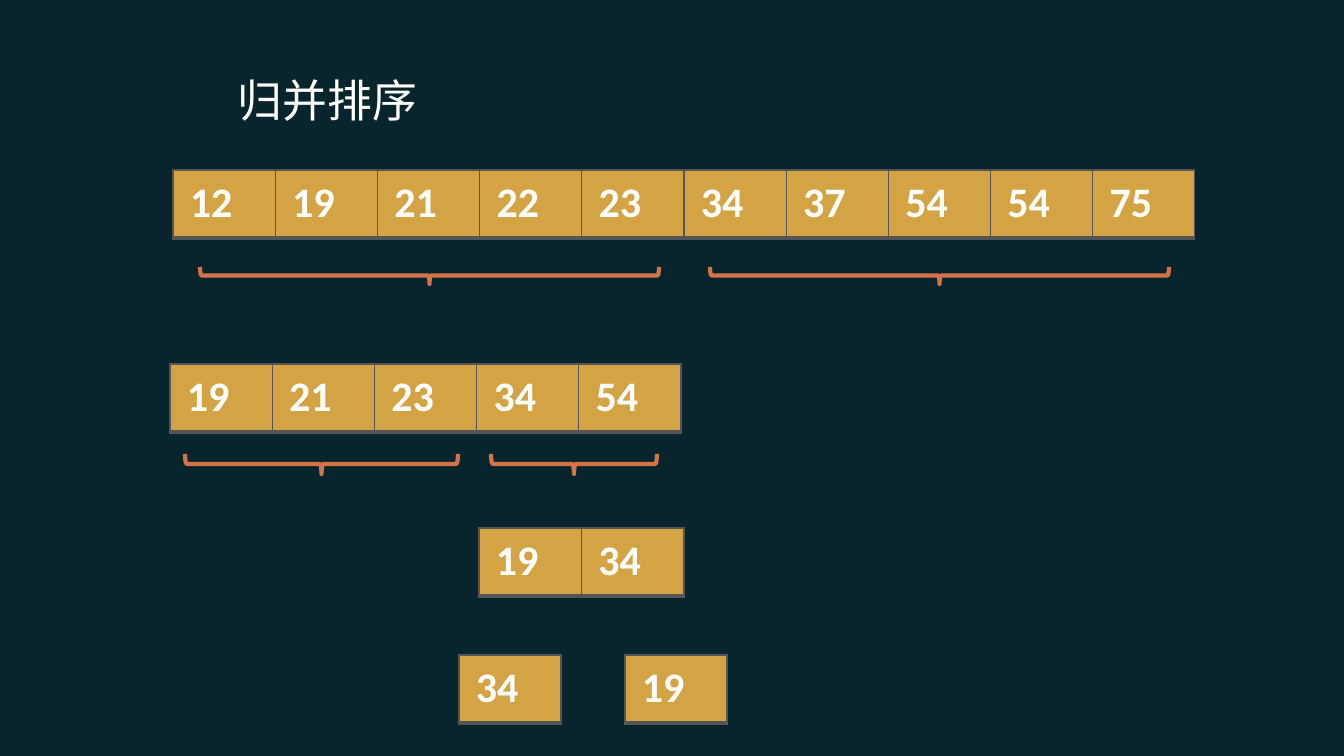
"""Build the merge sort slide with its rows of numbers and braces."""
from dataclasses import dataclass

from lxml import etree
from pptx import Presentation
from pptx.dml.color import RGBColor
from pptx.enum.shapes import MSO_SHAPE
from pptx.enum.text import MSO_ANCHOR
from pptx.oxml.ns import qn
from pptx.util import Emu, Pt

RIGHT_BRACE = MSO_SHAPE.RIGHT_BRACE
MIDDLE = MSO_ANCHOR.MIDDLE
EMU_PER_PX = 914400 / 100.8


@dataclass(frozen=True)
class Theme:
    """Colours, fonts and sizes of the slide."""
    background: str = "08252D"
    cell: str = "D4A444"
    border: str = "555555"
    brace: str = "D47348"
    text: str = "FFFFFF"
    title_font: str = "Arial"
    number_font: str = "Calibri"
    title_size: int = 32
    number_size: int = 30
    brace_width: int = 3


THEME = Theme()
ROW_HEIGHT = 68
BORDER_WIDTHS = {"lnL": 1, "lnR": 1, "lnT": 1, "lnB": 3}
TITLE_FORMAT = {"name": THEME.title_font, "size": Pt(THEME.title_size)}
NUMBER_FORMAT = {"name": THEME.number_font, "size": Pt(THEME.number_size), "bold": True}
CELL_MARGINS = {"margin_left": 17, "margin_right": 17, "margin_top": 8, "margin_bottom": 8}

NUMBER_ROWS = [
    (173, 170, 1022, [12, 19, 21, 22, 23, 34, 37, 54, 54, 75]),
    (170, 364, 511, [19, 21, 23, 34, 54]),
    (479, 528, 205, [19, 34]),
    (625, 655, 102, [19]),
    (459, 655, 102, [34]),
]
BRACES = [
    (200, 267, 459, 17),
    (710, 267, 459, 17),
    (185, 454, 273, 20),
    (491, 454, 166, 20),
]


def px(length):
    """Turn pixels into EMU."""
    return Emu(round(length * EMU_PER_PX))


def paint(fill, colour):
    """Give a fill one solid colour."""
    fill.solid()
    fill.fore_color.rgb = RGBColor.from_string(colour)


def write(text_frame, text, font_format):
    """Write one formatted paragraph into a text frame."""
    paragraph = text_frame.paragraphs[0]
    run = paragraph.add_run()
    run.text = text
    for name, value in font_format.items():
        setattr(run.font, name, value)
    run.font.color.rgb = RGBColor.from_string(THEME.text)


def add_title(slide, left, top, width, height, text):
    """Add the slide title."""
    shape = slide.shapes.add_textbox(px(left), px(top), px(width), px(height))
    shape.text_frame.word_wrap = True
    shape.text_frame.vertical_anchor = MIDDLE
    write(shape.text_frame, text, TITLE_FORMAT)


def add_borders(cell):
    """Draw the four borders of a table cell."""
    properties = cell._tc.get_or_add_tcPr()
    for tag, width in BORDER_WIDTHS.items():
        line = etree.SubElement(properties, qn(f"a:{tag}"), w=str(Pt(width)))
        solid = etree.SubElement(line, qn("a:solidFill"))
        etree.SubElement(solid, qn("a:srgbClr"), val=THEME.border)


def add_number_row(slide, left, top, width, numbers):
    """Add a one-row table of equally wide number cells."""
    frame = slide.shapes.add_table(
        1, len(numbers), px(left), px(top), px(width), px(ROW_HEIGHT))
    table = frame.table
    for column, cell, number in zip(table.columns, table.iter_cells(), numbers):
        column.width = px(width / len(numbers))
        for name, value in CELL_MARGINS.items():
            setattr(cell, name, px(value))
        add_borders(cell)
        paint(cell.fill, THEME.cell)
        write(cell.text_frame, str(number), NUMBER_FORMAT)


def add_brace(slide, left, top, width, height):
    """Add a brace that spans the given area and points down."""
    shift = (width - height) / 2
    shape = slide.shapes.add_shape(
        RIGHT_BRACE, px(left + shift), px(top - shift), px(height), px(width))
    shape.rotation = 90
    shape.shadow.inherit = False
    shape.fill.background()
    paint(shape.line.fill, THEME.brace)
    shape.line.width = Pt(THEME.brace_width)


def main():
    """Build and save the presentation."""
    presentation = Presentation()
    presentation.slide_width = px(1344)
    presentation.slide_height = px(756)
    slide = presentation.slides.add_slide(presentation.slide_layouts[6])
    paint(slide.background.fill, THEME.background)
    add_title(slide, 228, 60, 801, 80, "归并排序")
    for number_row in NUMBER_ROWS:
        add_number_row(slide, *number_row)
    for brace in BRACES:
        add_brace(slide, *brace)
    presentation.save("out.pptx")


if __name__ == "__main__":
    main()
